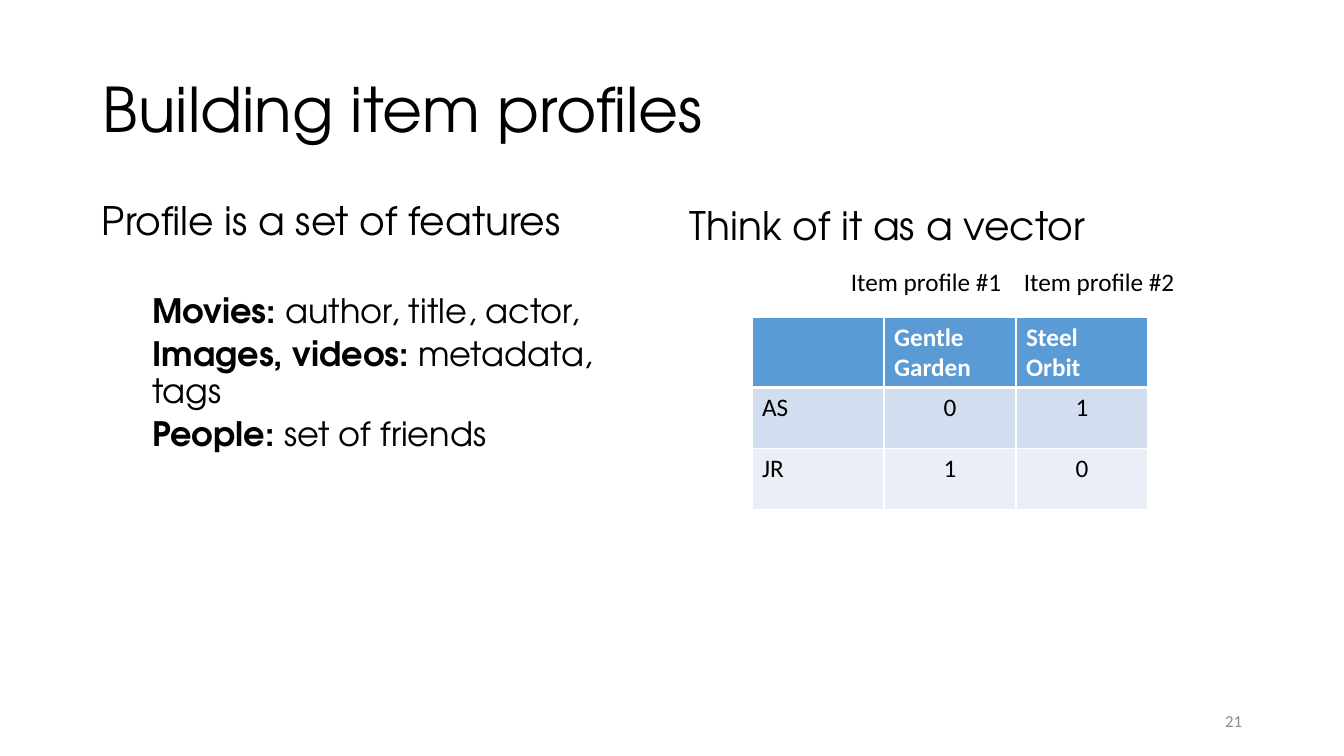
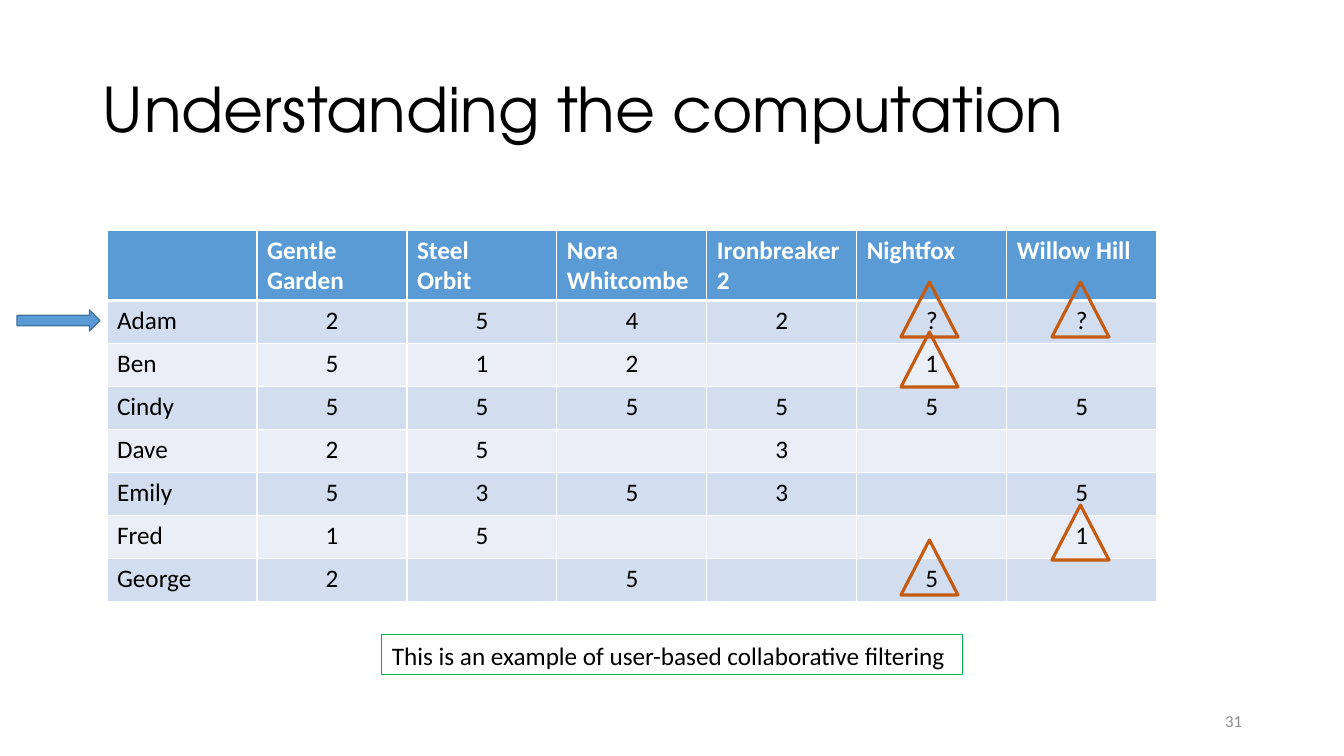
from lxml.etree import SubElement
from pptx import Presentation
from pptx.dml.color import RGBColor
from pptx.enum.shapes import MSO_SHAPE
from pptx.enum.text import MSO_ANCHOR, PP_ALIGN
from pptx.oxml.ns import qn
from pptx.util import Inches, Pt

PX = Inches(1) / 100.8
COLORS = {
    "text": "000000", "white": "FFFFFF", "number": "8C8C8C",
    "header": "5B9BD5", "band_dark": "D2DEEF", "band_light": "EAEFF7",
    "arrow_line": "43739E", "marker": "C55A11", "note_line": "00B050",
}
RGB = {name: RGBColor.from_string(value) for name, value in COLORS.items()}
DISPLAY, BODY = "TeX Gyre Adventor", "Calibri"

TITLE = {"line_spacing": 0.9}
HEADING = {"line_spacing": 0.9, "space_before": Pt(10)}
DETAIL = {"line_spacing": 0.9, "space_before": Pt(5)}
FIRST_DETAIL = {"line_spacing": 0.9, "space_before": Pt(36)}
RIGHT = {"alignment": PP_ALIGN.RIGHT}


def add_text(slide, box, paragraphs, size, font=DISPLAY, color="text",
             anchor=MSO_ANCHOR.TOP, wrap=True):
    """Add a text box; each paragraph is (format, size offset, (bold, text) runs)."""
    sp = slide.shapes.add_textbox(*[round(v * PX) for v in box])
    tf = sp.text_frame
    tf.word_wrap, tf.vertical_anchor = wrap, anchor
    for i, (fmt, offset, runs) in enumerate(paragraphs):
        p = tf.paragraphs[0] if i == 0 else tf.add_paragraph()
        for name, value in fmt.items():
            setattr(p, name, value)
        if offset:
            p.level = 1
            p._p.get_or_add_pPr().set("marL", str(Inches(0.5)))
        for bold, text in runs:
            r = p.add_run()
            r.text = text
            r.font.color.rgb = RGB[color]
            for name, value in {"name": font, "size": Pt(size + offset), "bold": bold}.items():
                setattr(r.font, name, value)
    return sp


def add_grid(slide, left, top, col_width, row_heights, rows):
    """Add a banded table with a header row and row names in the first column."""
    n_cols = len(rows[0])
    table = slide.shapes.add_table(
        len(rows), n_cols, round(left * PX), round(top * PX),
        round(n_cols * col_width * PX), round(sum(row_heights) * PX)).table
    for col in table.columns:
        col.width = round(col_width * PX)
    for i, (height, values) in enumerate(zip(row_heights, rows)):
        table.rows[i].height = round(height * PX)
        fill = "header" if i == 0 else ("band_light", "band_dark")[i % 2]
        cell_font = {"name": BODY, "size": Pt(18), "bold": i == 0}
        for j, value in enumerate(values):
            cell = table.cell(i, j)
            tcPr = cell._tc.get_or_add_tcPr()
            for side in "LRTB":
                thick = (i, side) in ((0, "B"), (1, "T"))
                ln = SubElement(tcPr, qn("a:ln" + side), w=str(Pt(3 if thick else 1)))
                SubElement(SubElement(ln, qn("a:solidFill")), qn("a:srgbClr"),
                           val=COLORS["white"])
            cell.fill.solid()
            cell.fill.fore_color.rgb = RGB[fill]
            cell.text = value
            for p in cell.text_frame.paragraphs:
                p.alignment = PP_ALIGN.CENTER if i and j else PP_ALIGN.LEFT
                for r in p.runs:
                    r.font.color.rgb = RGB["text" if i else "white"]
                    for name, setting in cell_font.items():
                        setattr(r.font, name, setting)


prs = Presentation()
prs.slide_width, prs.slide_height = round(1344 * PX), round(756 * PX)

slides = []
for title, number in [("Building item profiles", "21"),
                      ("Understanding the computation", "31")]:
    s = prs.slides.add_slide(prs.slide_layouts[6])
    add_text(s, (93, 40, 1159, 146), [(TITLE, 0, [(False, title)])], 44,
             anchor=MSO_ANCHOR.MIDDLE)
    add_text(s, (950, 701, 302, 40), [(RIGHT, 0, [(False, number)])], 12,
             font=BODY, color="number", anchor=MSO_ANCHOR.MIDDLE)
    slides.append(s)
profiles, computation = slides
films = ["Gentle Garden", "Steel\nOrbit", "Nora Whitcombe", "Ironbreaker 2",
         "Nightfox", "Willow Hill"]

# Item profiles
add_text(profiles, (92, 197, 572, 482), [
    (HEADING, 0, [(False, "Profile is a set of features")]),
    (FIRST_DETAIL, -4, [(True, "Movies: "), (False, "author, title, actor,")]),
    (DETAIL, -4, [(True, "Images, videos: "), (False, "metadata, tags")]),
    (DETAIL, -4, [(True, "People: "), (False, "set of friends")]),
], 28)
add_text(profiles, (680, 202, 572, 480),
         [(HEADING, 0, [(False, "Think of it as a vector")])], 28)
add_grid(profiles, 752, 317, 132, [70, 61, 61], [
    ["", *films[:2]],
    ["AS", "0", "1"],
    ["JR", "1", "0"],
])
for x, label in [(841, "Item profile #1"), (1014, "Item profile #2")]:
    add_text(profiles, (x, 261, 172, 40), [({}, 0, [(False, label)])], 18,
             font=BODY, wrap=False)

# Ratings
add_grid(computation, 107, 230, 150, [70] + [43] * 7, [
    ["", *films],
    ["Adam", "2", "5", "4", "2", "?", "?"],
    ["Ben", "5", "1", "2", "", "1", ""],
    ["Cindy", "5", "5", "5", "5", "5", "5"],
    ["Dave", "2", "5", "", "3", "", ""],
    ["Emily", "5", "3", "5", "3", "", "5"],
    ["Fred", "1", "5", "", "", "", "1"],
    ["George", "2", "", "5", "", "5", ""],
])
markers = [(901, 282), (901, 332), (901, 540), (1052, 282), (1052, 505)]
shapes = [(MSO_SHAPE.RIGHT_ARROW, (17, 310, 83, 21), "header", "arrow_line", 1)]
shapes += [(MSO_SHAPE.ISOSCELES_TRIANGLE, (x, y, 57, 55), None, "marker", 2.25)
           for x, y in markers]
for kind, box, fill, line, width in shapes:
    sp = computation.shapes.add_shape(kind, *[round(v * PX) for v in box])
    sp.shadow.inherit = False
    if fill:
        sp.fill.solid()
        sp.fill.fore_color.rgb = RGB[fill]
    else:
        sp.fill.background()
    sp.line.color.rgb = RGB[line]
    sp.line.width = Pt(width)

note = add_text(
    computation, (382, 635, 581, 40),
    [({}, 0, [(False, "This is an example of user-based collaborative filtering")])],
    18, font=BODY, wrap=False)
note.line.color.rgb = RGB["note_line"]
note.line.width = Pt(0.75)

prs.save("out.pptx")
